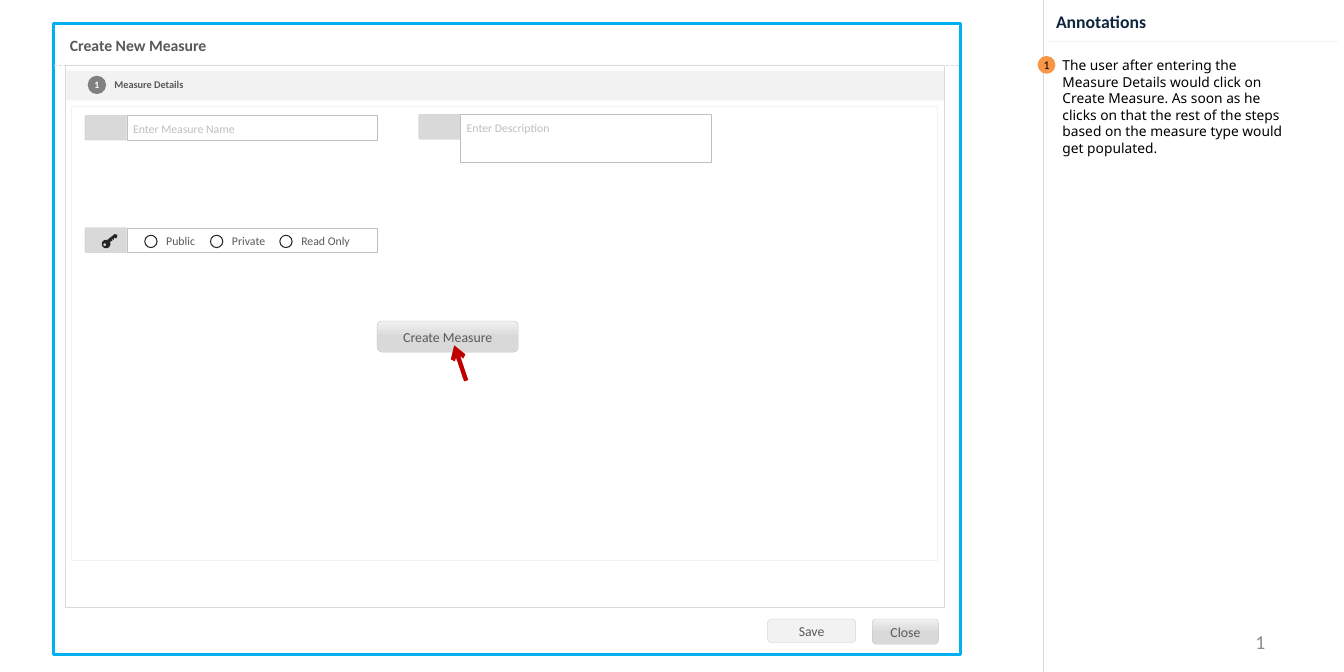
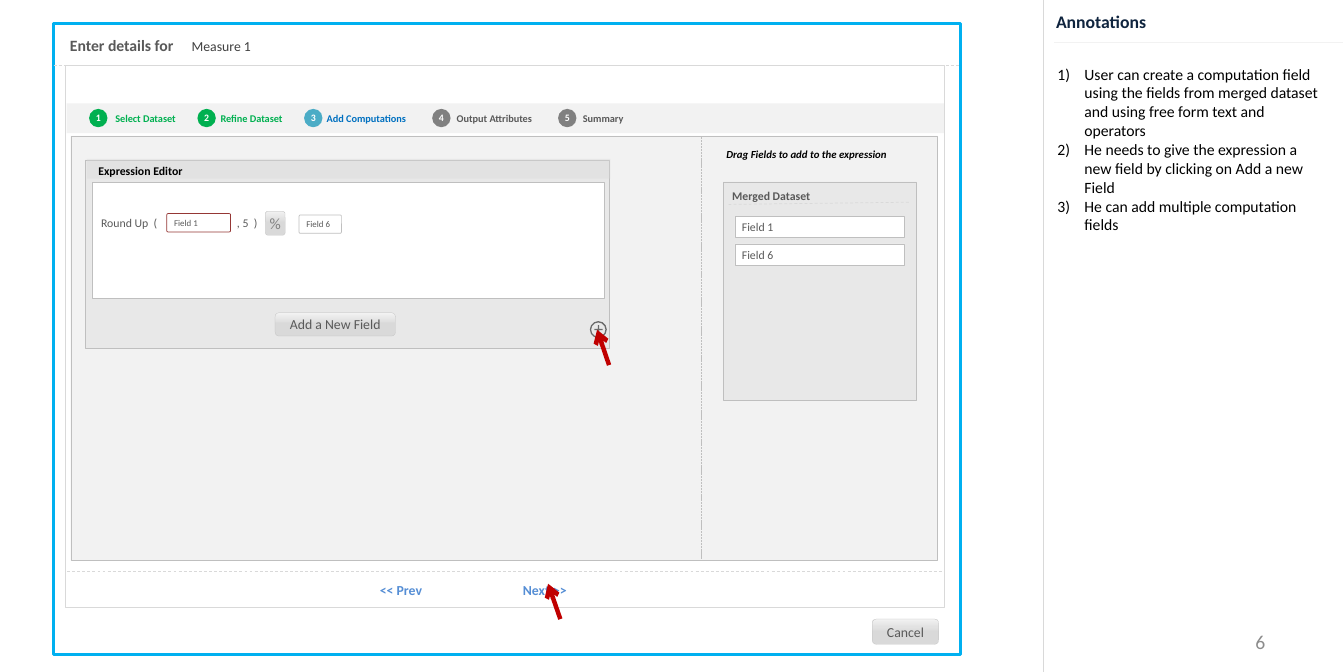
import math
from dataclasses import dataclass

import lxml.etree
import pptx
import pptx.dml.color
import pptx.enum.dml
import pptx.enum.shapes
import pptx.enum.text
import pptx.oxml.ns
import pptx.util

SHAPE = pptx.enum.shapes.MSO_SHAPE
ALIGN = pptx.enum.text.PP_ALIGN
ANCHOR = pptx.enum.text.MSO_ANCHOR
DASH = pptx.enum.dml.MSO_LINE
Pt = pptx.util.Pt


@dataclass(frozen=True)
class Theme:
    white: str = "FFFFFF"
    black: str = "000000"
    ink: str = "595959"
    dark: str = "404040"
    icon: str = "262626"
    navy: str = "0F243E"
    pale: str = "F2F2F2"
    light: str = "D9D9D9"
    edge: str = "BFBFBF"
    grey: str = "808080"
    number: str = "8C8C8C"
    frame: str = "00B0F0"
    done: str = "00B050"
    active: str = "4BACC6"
    active_text: str = "0070C0"
    link: str = "558ED5"
    marker: str = "F79646"
    alert: str = "C00000"
    selected: str = "953735"
    font: str = "Calibri"
    remark_font: str = "Noto Sans"
    page: float = 20
    heading: float = 18
    title: float = 16
    button: float = 14
    label: float = 12
    hint: float = 11
    step: float = 10.5
    badge: float = 10
    token: float = 9


T = Theme()


def cm(*inches):
    return [pptx.util.Cm(round(v * 2.54, 2)) for v in inches]


def rgb(value):
    return pptx.dml.color.RGBColor.from_string(value)


def child(parent, tag, **attrs):
    return lxml.etree.SubElement(parent, pptx.oxml.ns.qn(tag), attrs)


def write(tf, text, size=T.label, color=T.ink, bold=False, italic=False, font=T.font,
          align=ALIGN.LEFT, anchor=ANCHOR.TOP, inset=(0.1, 0.05), wrap=True):
    tf.word_wrap = wrap
    tf.auto_size = pptx.enum.text.MSO_AUTO_SIZE.NONE
    tf.vertical_anchor = anchor
    tf.margin_left, tf.margin_top = tf.margin_right, tf.margin_bottom = cm(*inset)
    for i, line in enumerate(text.split("\n")):
        p = tf.add_paragraph() if i else tf.paragraphs[0]
        p.alignment = align
        p.space_before = Pt(0)
        r = p.add_run()
        r.text = line
        r.font.name, r.font.size = font, Pt(size)
        r.font.bold, r.font.italic = bold, italic
        r.font.color.rgb = rgb(color)


class Wireframe:
    """Draws wireframe elements on the current slide in one shared style."""

    def __init__(self, prs):
        self.prs = prs
        self.s = None

    def start(self, page, rule_x, rule_y):
        self.s = self.prs.slides.add_slide(self.prs.slide_layouts[1])
        self.line((14.75, 0), (14.75, 9.5))
        self.text((14.81, 0.09, 1.53, 0.43), "Annotations", size=T.heading, color=T.navy,
                  bold=True, inset=(0.12, 0.06), wrap=False)
        self.line((rule_x, rule_y), (rule_x + 4.09, rule_y), color=T.pale)
        self.text((15.83, 8.81, 2.22, 0.51), page, size=T.page, color=T.number,
                  align=ALIGN.RIGHT, anchor=ANCHOR.MIDDLE, inset=(0.16, 0.08))
        self.box((0.75, 0.33, 12.83, 8.92), fill=T.white, line=T.frame, weight=3)
        self.line((0.76, 0.92), (13.56, 0.92), dash=DASH.DASH)

    def fill_placeholder(self, sp, at, text, **fmt):
        sp.left, sp.top, sp.width, sp.height = cm(*at)
        sp.element.getparent().append(sp.element)
        write(sp.text_frame, text, **fmt)

    def title(self, text, width):
        self.fill_placeholder(self.s.shapes.title, (0.89, 0.46, width, 0.37), text,
                              size=T.title, bold=True)

    def annotations(self, at, text, numbered=False, **fmt):
        sp = self.s.placeholders[1]
        self.fill_placeholder(sp, at, text, color=T.black, **fmt)
        indent = cm(0.38 if numbered else 0)[0]
        for p in sp.text_frame.paragraphs:
            pPr = p._p.get_or_add_pPr()
            pPr.set("marL", str(indent))
            pPr.set("indent", str(-indent))
            if numbered:
                child(pPr, "a:buFont", typeface="+mj-lt")
                child(pPr, "a:buAutoNum", type="arabicParenR")
            else:
                child(pPr, "a:buNone")

    def text(self, at, text, **fmt):
        sp = self.s.shapes.add_textbox(*cm(*at))
        write(sp.text_frame, text, **fmt)
        return sp

    def paint(self, sp, fill=None, line=None, weight=0.25, alpha=None):
        sp.shadow.inherit = False
        if fill:
            sp.fill.solid()
            sp.fill.fore_color.rgb = rgb(fill)
            if alpha:
                color = sp.element.spPr.find(".//" + pptx.oxml.ns.qn("a:srgbClr"))
                child(color, "a:alpha", val=str(alpha * 1000))
        else:
            sp.fill.background()
        if line:
            sp.line.color.rgb = rgb(line)
            sp.line.width = Pt(weight)
        else:
            sp.line.fill.background()

    def box(self, at, kind=SHAPE.RECTANGLE, adj=None, text=None, fmt=None, **style):
        sp = self.s.shapes.add_shape(kind, *cm(*at))
        if adj is not None:
            sp.adjustments[0] = adj
        self.paint(sp, **style)
        if text:
            write(sp.text_frame, text, **{"anchor": ANCHOR.MIDDLE, **(fmt or {})})
        return sp

    def button(self, at, text, flat=False, adj=None, size=T.button, color=T.ink, inset=(0.12, 0.06)):
        sp = self.box(at, SHAPE.ROUNDED_RECTANGLE, adj, text, fill=T.pale, line=T.edge,
                      fmt=dict(size=size, color=color, align=ALIGN.CENTER, inset=inset))
        if not flat:
            sp.fill.gradient()
            sp.fill.gradient_angle = 90
            for stop, position, tone in zip(sp.fill.gradient_stops, (0.5, 1), (T.light, T.pale)):
                stop.position = position
                stop.color.rgb = rgb(tone)

    def badge(self, x, y, text, fill, side=0.26, **fmt):
        look = dict(size=T.badge, color=T.white, bold=True, align=ALIGN.CENTER, inset=(0, 0))
        self.box((x, y, side, side), SHAPE.OVAL, text=text, fill=fill, fmt={**look, **fmt})

    def step(self, number, x, y, label, label_x, fill=T.grey, color=T.ink):
        self.badge(x, y, number, fill)
        self.text((label_x, y - 0.01, 1.36, 0.28), label, size=T.step, color=color, bold=True)

    def field(self, x, y, width=3.54, height=0.35, hint=None):
        self.box((x, y, 0.6, 0.35), SHAPE.ROUNDED_RECTANGLE, 0.05, fill=T.light, line=T.edge)
        self.box((x + 0.59, y, width, height), fill=T.white, line=T.edge)
        if hint:
            self.text((x + 0.68, y + 0.09, 1.77, 0.2), hint, color=T.edge, inset=(0, 0))

    def token(self, at, text, line=T.edge, size=T.token):
        self.box(at, SHAPE.ROUNDED_RECTANGLE, 0.07 if size == T.token else 0, text,
                 dict(size=size), fill=T.white, line=line, weight=0.75)

    def ring(self, x, y, side):
        self.box((x, y, side, side), SHAPE.DONUT, 0.08, fill=T.icon)

    def radio(self, x, y, label):
        self.ring(x, y, 0.19)
        self.text((x + 0.31, y - 0.01, 0.8, 0.2), label, inset=(0, 0))

    def key(self):
        def arc(x, y, radius, start, end):
            turns = [math.radians(start + (end - start) * i / 24) for i in range(25)]
            return [(1000 * (x + radius * math.cos(a)), 1000 * (y + radius * math.sin(a))) for a in turns]

        bow = arc(1.5, 3.45, 0.06, -20, 290)
        hole = arc(1.48, 3.46, 0.02, 360, 0)
        blade = [(1520, 3390), (1620, 3310), (1660, 3320), (1650, 3360), (1640, 3370), (1610, 3360),
                 (1610, 3390), (1580, 3380), (1590, 3410), (1570, 3410), (1560, 3420)]
        blade.reverse()
        bow.reverse()
        fb = self.s.shapes.build_freeform(*bow[0], scale=pptx.util.Cm(2.54) / 1000)
        fb.add_line_segments(bow[1:] + blade)
        fb.move_to(*hole[0])
        fb.add_line_segments(hole[1:])
        self.paint(fb.convert_to_shape(), fill=T.icon)

    def line(self, start, end, color=T.light, weight=0.75, dash=None, arrow=False):
        c = self.s.shapes.add_connector(pptx.enum.shapes.MSO_CONNECTOR.STRAIGHT, *cm(*start, *end))
        c.line.color.rgb = rgb(color)
        c.line.width = Pt(weight)
        if dash:
            c.line.dash_style = dash
        if arrow:
            child(c.element.spPr.get_or_add_ln(), "a:tailEnd", type="arrow")
        child(c.element.spPr, "a:effectLst")

    def pointer(self, x, y):
        self.line((x + 0.17, y + 0.5), (x, y), color=T.alert, weight=4.5, arrow=True)


def create_measure(w):
    w.start("1", 14.83, 0.58)
    w.title("Create New Measure", 2.88)
    w.button((12.33, 8.75, 0.94, 0.36), "Close")
    w.button((10.85, 8.75, 1.25, 0.33), "Save", flat=True)
    w.field(1.2, 1.63, hint="Enter Measure Name")
    w.field(5.92, 1.62, height=0.67, hint="Enter Description")
    w.field(1.2, 3.22)
    w.key()
    for x, label in ((2.04, "Public"), (2.97, "Private"), (3.95, "Read Only")):
        w.radio(x, 3.32, label)
    w.box((1, 1.5, 12.25, 6.42), line=T.pale)
    w.badge(14.67, 0.79, "1", T.marker, side=0.25, size=T.label, color=T.black, bold=False)
    w.annotations((14.92, 0.75, 3.5, 1.28),
                  "The user after entering the Measure Details would click on Create Measure. "
                  "As soon as he clicks on that the rest of the steps based on the measure type "
                  "would get populated.", size=T.button, font=T.remark_font)
    w.box((0.94, 1, 12.4, 0.42), fill=T.pale)
    w.step("1", 1.24, 1.07, "Measure Details", 1.52)
    w.button((5.33, 4.54, 2, 0.44), "Create Measure")
    w.box((0.92, 0.92, 12.42, 7.67), line=T.light)
    w.pointer(6.42, 4.88)


def add_computations(w):
    w.start("6", 14.9, 0.6)
    w.box((0.92, 0.92, 12.42, 7.67), fill=T.white, line=T.light)
    w.line((0.95, 8.08), (13.35, 8.08), dash=DASH.DASH)
    w.title("Enter details for", 1.78)
    w.text((2.61, 0.49, 1.06, 0.34), "Measure 1", size=T.button, color=T.dark)
    w.box((1, 1.92, 12.25, 6), fill=T.pale, line=T.edge)
    w.text((10.17, 2.03, 2.67, 0.29), "Drag Fields to add to the expression", size=T.hint,
           color=T.black, bold=True, italic=True)
    w.box((0.94, 1.46, 12.4, 0.42), fill=T.pale)
    steps = ((1.26, "Select Dataset", 1.53, T.done, T.done),
             (2.79, "Refine Dataset", 3.02, T.done, T.done),
             (4.3, "Add Computations", 4.52, T.active, T.active_text),
             (6.11, "Output Attributes", 6.36, T.grey, T.ink),
             (7.89, "Summary", 8.14, T.grey, T.ink))
    for number, (x, label, label_x, fill, color) in enumerate(steps, 1):
        w.step(str(number), x, 1.54, label, label_x, fill, color)

    w.box((10.23, 2.57, 2.73, 3.09), fill=T.light, alpha=40, line=T.edge)
    w.text((10.25, 2.61, 2.25, 0.3), "Merged Dataset", bold=True)
    w.line((10.3, 2.89), (12.87, 2.86), dash=DASH.DASH)
    for i, name in enumerate(("Field 1", "Field 6")):
        w.token((10.39, 3.06 + 0.39 * i, 2.4, 0.3), name, size=T.label)
    w.line((9.92, 1.94), (9.92, 7.92), color=T.edge, dash=DASH.SQUARE_DOT)

    w.box((8.4, 4.6, 0.12, 0.12), SHAPE.CROSS, 0.42, fill=T.icon)
    w.ring(8.34, 4.54, 0.24)
    w.text((5.27, 8.17, 1.07, 0.33), "<< Prev", size=T.button, color=T.link, bold=True)
    w.button((12.33, 8.75, 0.94, 0.36), "Cancel")
    w.text((7, 8.17, 1.11, 0.33), "Next >>", size=T.button, color=T.link, bold=True, align=ALIGN.RIGHT)

    w.box((1.21, 2.26, 7.41, 2.66), fill=T.light, alpha=38, line=T.edge)
    w.box((1.23, 2.25, 7.4, 0.28), fill=T.light, alpha=38)
    w.text((1.39, 2.32, 1.4, 0.2), "Expression Editor", color=T.black, bold=True, inset=(0, 0))
    w.box((1.3, 2.58, 7.25, 1.64), fill=T.white, line=T.edge)
    w.button((3.89, 4.42, 1.7, 0.33), "Add a New Field")
    w.token((2.36, 3.02, 0.9, 0.26), "Field 1", line=T.selected)
    sp = w.text((1.33, 3, 2.92, 0.3), "Round Up  (\t, 5  )")
    tabs = child(sp.text_frame.paragraphs[0]._p.get_or_add_pPr(), "a:tabLst")
    child(tabs, "a:tab", pos=str(cm(1.92)[0]), algn="l")
    w.button((3.75, 2.99, 0.28, 0.34), "%", adj=0.13, size=T.title, color=T.grey, inset=(0, 0))
    w.token((4.23, 3.04, 0.6, 0.26), "Field 6")
    w.annotations((14.85, 0.86, 3.92, 2.52),
                  "User can create a computation field using the fields from merged dataset "
                  "and using free form text and operators\n"
                  "He needs to give the expression a new field by clicking on Add a new Field\n"
                  "He can add multiple computation fields", numbered=True, size=T.title)
    w.pointer(7.75, 8.25)
    w.pointer(8.44, 4.66)


prs = pptx.Presentation()
prs.slide_width, prs.slide_height = cm(19, 9.5)
wireframe = Wireframe(prs)
create_measure(wireframe)
add_computations(wireframe)
prs.save("out.pptx")
